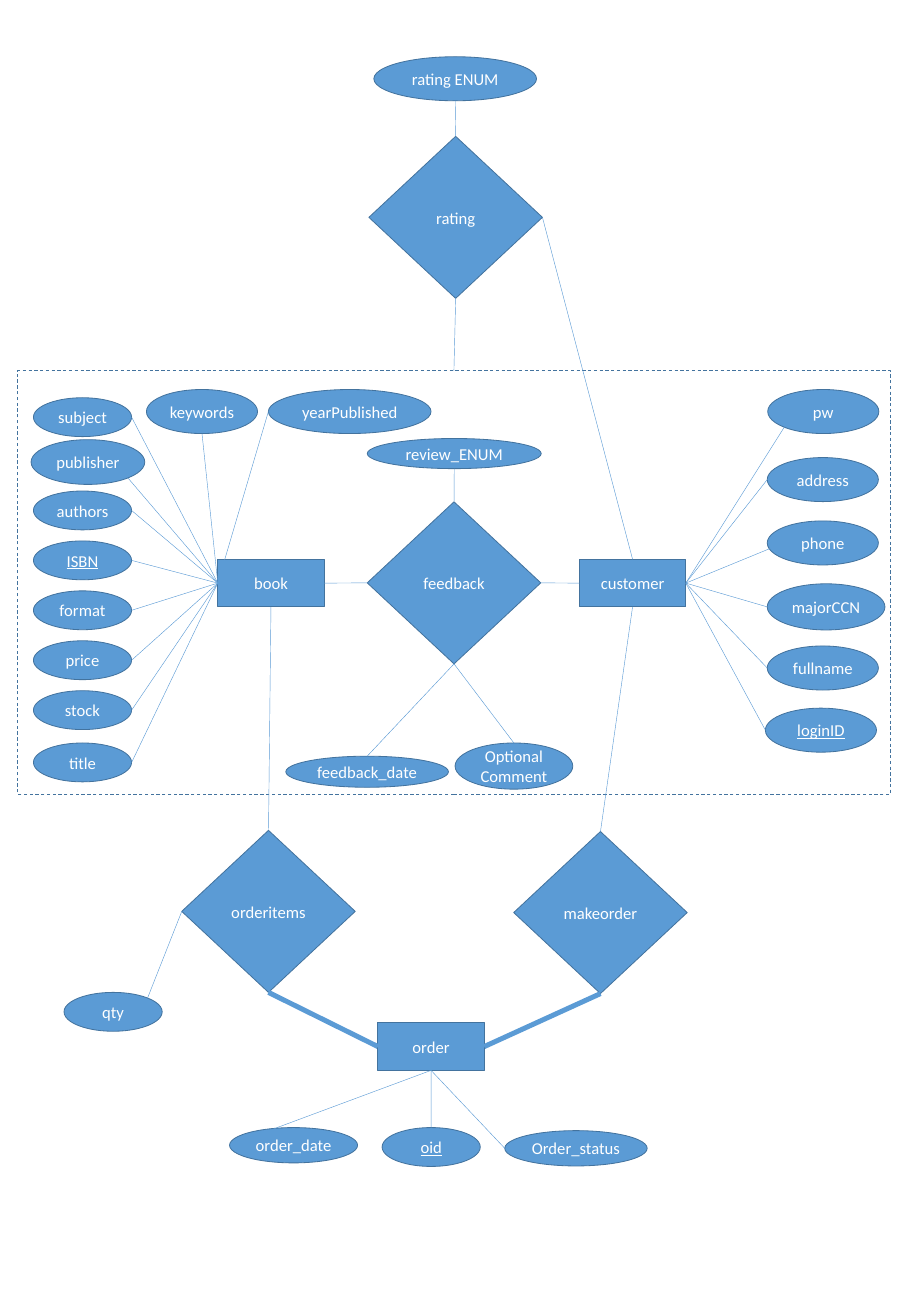
from dataclasses import dataclass

from lxml.etree import SubElement
from pptx import Presentation
from pptx.dml.color import RGBColor
from pptx.enum.dml import MSO_LINE
from pptx.enum.shapes import MSO_CONNECTOR, MSO_SHAPE
from pptx.enum.text import MSO_ANCHOR, PP_ALIGN
from pptx.oxml.ns import qn
from pptx.util import Cm, Pt

COLORS = {"fill": "5B9BD5", "outline": "43739E", "text": "FFFFFF"}

# Attachment sites as fractions of a node's width and height
SITES = {
    "top": (0.5, 0), "left": (0, 0.5), "bottom": (0.5, 1), "right": (1, 0.5),
    "top right": (0.85, 0.15), "bottom left": (0.15, 0.85),
    "bottom right": (0.85, 0.85), "lower left": (0.06, 0.59),
}
GLUE_SITES = ["top", "left", "bottom", "right"]

# Node sizes in cm
ENTITY, RELATION = (4.52, 2.02), (7.37, 6.88)
SMALL, MEDIUM, LARGE, WIDE = (4.17, 1.65), (4.72, 1.87), (5, 1.96), (6.91, 1.87)


@dataclass
class Node:
    label: str
    left: float
    top: float
    size: tuple[float, float]

    def point(self, site: str) -> tuple[Cm, Cm]:
        across, down = SITES[site]
        return Cm(self.left + across * self.size[0]), Cm(self.top + down * self.size[1])


@dataclass
class Attribute(Node):
    owner: str
    owner_site: str
    site: str
    key: bool = False


@dataclass
class Link:
    start: str
    start_site: str
    end: str
    end_site: str
    weight: float = 0.5


FRAME = Node("", 0.74, 15.75, (37.08, 17.98))
ENTITIES = [
    Node("book", 9.25, 23.75, ENTITY),
    Node("customer", 24.61, 23.75, ENTITY),
    Node("order", 16.05, 43.43, ENTITY),
]
RELATIONS = [
    Node("rating", 15.67, 5.79, RELATION),
    Node("feedback", 15.6, 21.31, RELATION),
    Node("orderitems", 7.72, 35.26, RELATION),
    Node("makeorder", 21.82, 35.31, RELATION),
]
BOOK_COLUMN = ["authors", "ISBN", "format", "price", "stock"]
ATTRIBUTES = [
    # Book
    Attribute("subject", 1.42, 16.89, SMALL, "book", "left", "right"),
    Attribute("publisher", 1.32, 18.67, (4.83, 1.9), "book", "left", "bottom right"),
    *(Attribute(label, 1.42, 20.85 + 2.12 * row, SMALL, "book", "left", "right", label == "ISBN")
      for row, label in enumerate(BOOK_COLUMN)),
    Attribute("title", 1.42, 31.55, SMALL, "book", "left", "right"),
    Attribute("keywords", 6.22, 16.54, MEDIUM, "book", "left", "bottom"),
    Attribute("yearPublished", 11.4, 16.54, WIDE, "book", "left", "left"),
    # Customer
    Attribute("pw", 32.61, 16.54, MEDIUM, "customer", "right", "bottom left"),
    Attribute("address", 32.59, 19.43, MEDIUM, "customer", "right", "left"),
    Attribute("phone", 32.59, 22.12, MEDIUM, "customer", "right", "lower left"),
    Attribute("majorCCN", 32.59, 24.79, LARGE, "customer", "right", "left"),
    Attribute("fullname", 32.59, 27.43, MEDIUM, "customer", "right", "left"),
    Attribute("loginID", 32.51, 30.07, MEDIUM, "customer", "right", "left", True),
    # Order
    Attribute("order_date", 9.75, 47.88, (5.44, 1.5), "order", "bottom", "left"),
    Attribute("oid", 16.23, 47.88, SMALL, "order", "bottom", "top", True),
    Attribute("Order_status", 21.44, 48.01, (6.05, 1.5), "order", "bottom", "left"),
    # Relations
    Attribute("rating ENUM", 15.88, 2.41, WIDE, "rating", "top", "bottom"),
    Attribute("review_ENUM", 15.6, 18.62, (7.39, 1.28), "feedback", "top", "bottom"),
    Attribute("feedback_date", 12.14, 32.11, (6.91, 1.32), "feedback", "bottom", "top"),
    Attribute("Optional\nComment", 19.33, 31.55, LARGE, "feedback", "bottom", "top"),
    Attribute("qty", 2.72, 42.14, SMALL, "orderitems", "left", "top right"),
]
LINKS = [
    Link("rating", "bottom", FRAME.label, "top"),
    Link("rating", "right", "customer", "top"),
    Link("book", "right", "feedback", "left"),
    Link("feedback", "right", "customer", "left"),
    Link("book", "bottom", "orderitems", "top"),
    Link("customer", "bottom", "makeorder", "top"),
    Link("orderitems", "bottom", "order", "left", 6),
    Link("makeorder", "bottom", "order", "right", 6),
]

deck = Presentation()
deck.slide_width, deck.slide_height = Cm(38.1), Cm(55.88)
slide = deck.slides.add_slide(deck.slide_layouts[6])
nodes = {}
drawn = {}


def color(name: str) -> RGBColor:
    return RGBColor.from_string(COLORS[name])


def draw_node(node: Node, outline: MSO_SHAPE):
    """Draw an outlined shape and register it under its label."""
    shape = slide.shapes.add_shape(
        outline, Cm(node.left), Cm(node.top), Cm(node.size[0]), Cm(node.size[1]))
    shape.shadow.inherit = False
    shape.line.color.rgb = color("outline")
    shape.line.width = Pt(1)
    nodes[node.label], drawn[node.label] = node, shape
    return shape


def draw_labelled(node: Node, outline: MSO_SHAPE, underline: bool = False) -> None:
    shape = draw_node(node, outline)
    shape.fill.solid()
    shape.fill.fore_color.rgb = color("fill")
    frame = shape.text_frame
    frame.text = node.label
    frame.vertical_anchor = MSO_ANCHOR.MIDDLE
    if outline != MSO_SHAPE.OVAL:
        frame.margin_left = frame.margin_right = Cm(0.18)
        frame.margin_top = frame.margin_bottom = Cm(0.1)
    for paragraph in frame.paragraphs:
        paragraph.alignment = PP_ALIGN.CENTER
        for run in paragraph.runs:
            run.font.name, run.font.size = "Calibri", Pt(20)
            run.font.color.rgb = color("text")
            if underline:
                run.font.underline = True


def draw_link(link: Link) -> None:
    """Join two nodes, glued wherever the site is a side of a box or diamond."""
    start, end = nodes[link.start], nodes[link.end]
    line = slide.shapes.add_connector(
        MSO_CONNECTOR.STRAIGHT, *start.point(link.start_site), *end.point(link.end_site))
    line.line.color.rgb = color("fill")
    line.line.width = Pt(link.weight)
    SubElement(line._element.spPr, qn("a:effectLst"))
    line.begin_connect(drawn[link.start], GLUE_SITES.index(link.start_site))
    if not isinstance(end, Attribute):
        line.end_connect(drawn[link.end], GLUE_SITES.index(link.end_site))


# Dashed frame around the feedback aggregate
aggregate = draw_node(FRAME, MSO_SHAPE.RECTANGLE)
aggregate.fill.background()
aggregate.line.dash_style = MSO_LINE.DASH

# Entities, relations and attributes
for entity in ENTITIES:
    draw_labelled(entity, MSO_SHAPE.RECTANGLE)
for relation in RELATIONS:
    draw_labelled(relation, MSO_SHAPE.DIAMOND)
for attribute in ATTRIBUTES:
    draw_labelled(attribute, MSO_SHAPE.OVAL, attribute.key)

# Connections
for link in LINKS:
    draw_link(link)
for attribute in ATTRIBUTES:
    draw_link(Link(attribute.owner, attribute.owner_site, attribute.label, attribute.site))

deck.save("out.pptx")
